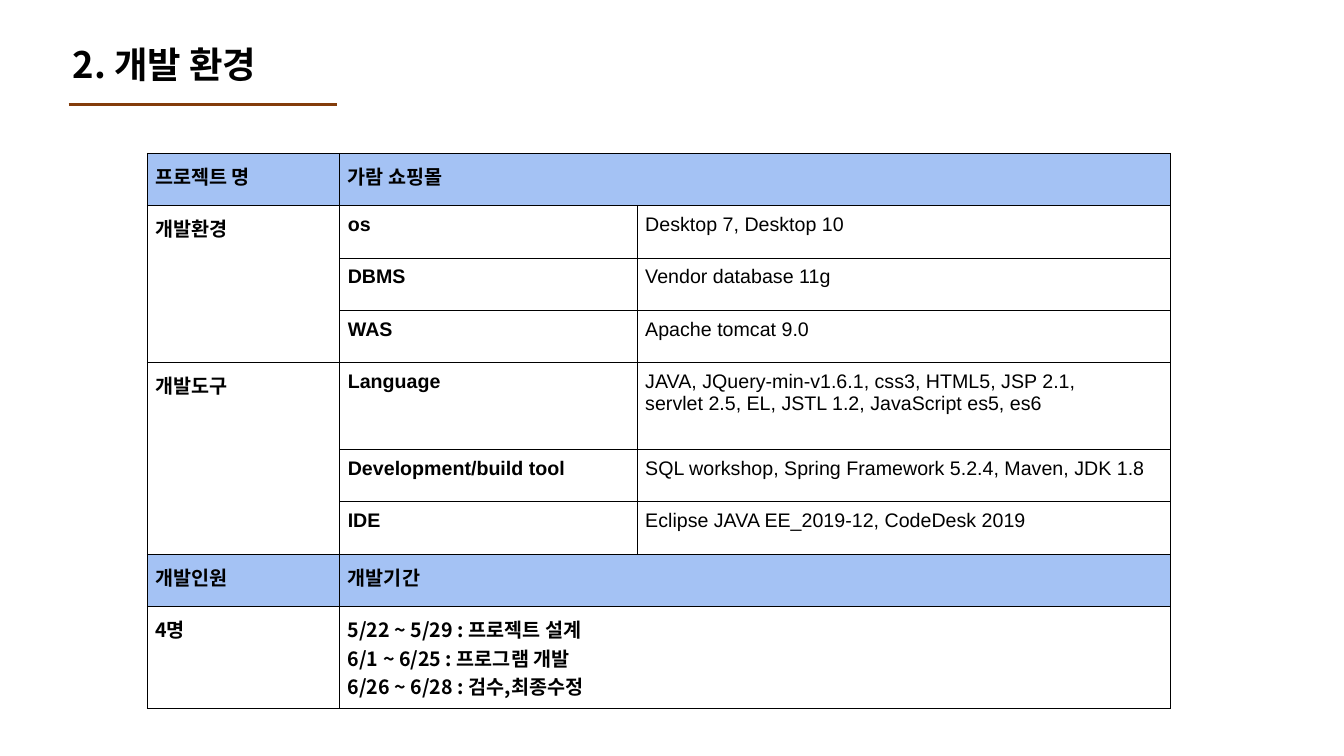
from lxml.etree import SubElement
from pptx import Presentation
from pptx.dml.color import RGBColor
from pptx.enum.shapes import MSO_CONNECTOR
from pptx.enum.text import MSO_ANCHOR, MSO_AUTO_SIZE, PP_ALIGN
from pptx.oxml import parse_xml
from pptx.oxml.ns import nsdecls, qn
from pptx.util import Inches, Pt

BLACK = RGBColor(0x00, 0x00, 0x00)
BROWN = RGBColor(0x83, 0x3C, 0x0B)
HEADER_BLUE = RGBColor(0xA4, 0xC2, 0xF4)
LATIN_FONT = "Arial"
KOREAN_FONT = "Noto Sans CJK KR"

# Table grid in inches
COLUMN_WIDTHS = (1.91, 2.95, 5.29)
ROW_HEIGHT = 0.52
TALL_ROWS = {4: 0.86, 8: 0.82}
HEADER_ROWS = (0, 7)
WIDE_ROWS = (0, 7, 8)  # last two columns joined
GROUP_ROWS = ((1, 3), (4, 6))  # first column joined
SCHEDULE_ROW = 8

ROWS = (
    ("프로젝트 명", "가람 쇼핑몰", ""),
    ("개발환경", "os", "Desktop 7, Desktop 10"),
    ("", "DBMS", "Vendor database 11g"),
    ("", "WAS", "Apache tomcat 9.0"),
    ("개발도구", "Language",
     "JAVA, JQuery-min-v1.6.1, css3, HTML5, JSP 2.1,\n"
     "servlet 2.5, EL, JSTL 1.2, JavaScript es5, es6"),
    ("", "Development/build tool",
     "SQL workshop, Spring Framework 5.2.4, Maven, JDK 1.8"),
    ("", "IDE", "Eclipse JAVA EE_2019-12, CodeDesk 2019"),
    ("개발인원", "개발기간", ""),
    ("4명",
     "5/22 ~ 5/29 : 프로젝트 설계\n"
     "6/1 ~ 6/25 : 프로그램 개발\n"
     "6/26 ~ 6/28 : 검수,최종수정", ""),
)


def add_run(paragraph, text, size, bold, font_name):
    run = paragraph.add_run()
    run.text = text
    run.font.size = Pt(size)
    run.font.bold = bold
    run.font.name = font_name
    run.font.color.rgb = BLACK
    SubElement(run.font._element, qn("a:ea"), typeface=KOREAN_FONT)


def add_title(slide, text):
    title = slide.shapes.title
    title.left, title.top = Inches(0.62), Inches(0.4)
    title.width, title.height = Inches(3.38), Inches(0.52)
    frame = title.text_frame
    frame.auto_size = MSO_AUTO_SIZE.NONE
    frame.vertical_anchor = MSO_ANCHOR.MIDDLE
    paragraph = frame.paragraphs[0]
    paragraph.alignment = PP_ALIGN.LEFT
    paragraph.line_spacing = 0.9
    add_run(paragraph, text, 26, True, KOREAN_FONT)


def add_title_rule(slide):
    y = Inches(1.04)
    rule = slide.shapes.add_connector(
        MSO_CONNECTOR.STRAIGHT, Inches(0.68), y, Inches(3.34), y)
    rule.line.color.rgb = BROWN
    rule.line.width = Pt(2.25)
    SubElement(rule._element.spPr, qn("a:effectLst"))


def set_borders(cell):
    properties = cell._tc.get_or_add_tcPr()
    for index, side in enumerate(("lnL", "lnR", "lnT", "lnB")):
        properties.insert(index, parse_xml(
            f'<a:{side} {nsdecls("a")} w="{Pt(0.75)}"><a:solidFill>'
            f'<a:srgbClr val="{BLACK}"/></a:solidFill></a:{side}>'))


def format_cell(cell, text, bold, font_name, is_header):
    cell.margin_left = cell.margin_right = Inches(0.08)
    cell.margin_top = cell.margin_bottom = Inches(0.08)
    cell.vertical_anchor = MSO_ANCHOR.TOP
    if is_header:
        cell.fill.solid()
        cell.fill.fore_color.rgb = HEADER_BLUE
    else:
        cell.fill.background()
    set_borders(cell)
    if not text:
        return
    frame = cell.text_frame
    for index, line in enumerate(text.split("\n")):
        paragraph = frame.add_paragraph() if index else frame.paragraphs[0]
        add_run(paragraph, line, 14, bold, font_name)


def add_environment_table(slide):
    heights = [TALL_ROWS.get(row, ROW_HEIGHT) for row in range(len(ROWS))]
    table = slide.shapes.add_table(
        len(ROWS), len(COLUMN_WIDTHS), Inches(1.46), Inches(1.52),
        Inches(sum(COLUMN_WIDTHS)), Inches(sum(heights))).table
    table.first_row = table.horz_banding = False
    for column, width in zip(table.columns, COLUMN_WIDTHS):
        column.width = Inches(width)
    for row, height in zip(table.rows, heights):
        row.height = Inches(height)

    # Cell text, fill and borders
    for row, texts in enumerate(ROWS):
        font_name = KOREAN_FONT if row == SCHEDULE_ROW else LATIN_FONT
        for column, text in enumerate(texts):
            format_cell(table.cell(row, column), text, column < 2,
                        font_name, row in HEADER_ROWS)

    # Joined cells
    for row in WIDE_ROWS:
        table.cell(row, 1).merge(table.cell(row, 2))
    for first, last in GROUP_ROWS:
        table.cell(first, 0).merge(table.cell(last, 0))


def main():
    presentation = Presentation()
    presentation.slide_width = Inches(13.33)
    presentation.slide_height = Inches(7.5)
    slide = presentation.slides.add_slide(presentation.slide_layouts[5])
    add_title(slide, "2. 개발 환경")
    add_title_rule(slide)
    add_environment_table(slide)
    presentation.save("out.pptx")


if __name__ == "__main__":
    main()
